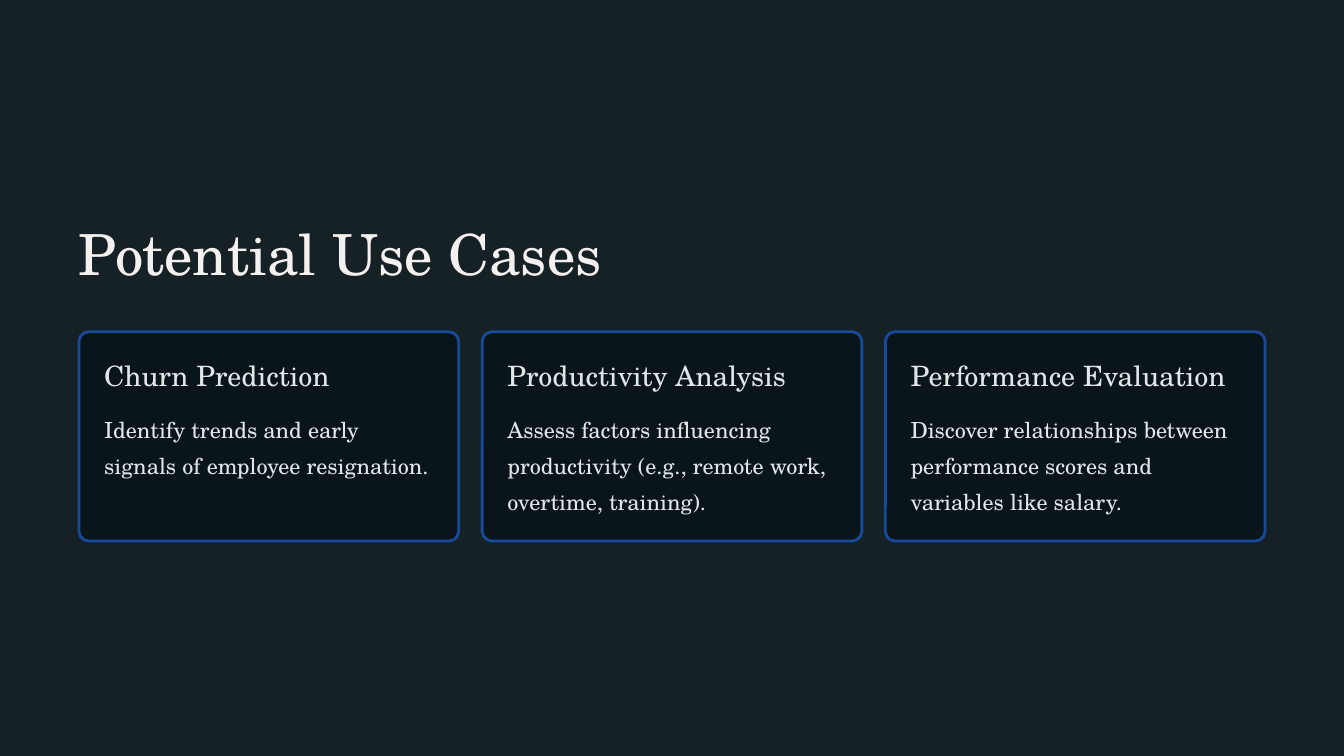
"""Build the Potential Use Cases slide with three outlined cards."""
from dataclasses import dataclass

from lxml import etree
from pptx import Presentation
from pptx import util as u
from pptx.dml.color import RGBColor
from pptx.enum import shapes, text
from pptx.oxml.ns import qn


@dataclass(frozen=True)
class Theme:
    """Colours, font and type styles of the slide."""
    background: str = "152125"
    card: str = "09151A"
    card_opacity: int = 95
    border: str = "194A99"
    border_width: float = 2.4
    corner: float = 0.046
    heading: str = "F5F0F0"
    body: str = "E2E6E9"
    font: str = "TeX Gyre Schola"

    def style(self, role):
        """Return size, line spacing and colour for a text role."""
        return {
            "title": (48.5, 60.5, self.heading),
            "card_title": (24, 30, self.body),
            "card_body": (19, 31, self.body),
        }[role]


def set_values(target, values):
    """Set every attribute named in values on the target."""
    for name, value in values.items():
        setattr(target, name, value)


class SlideBuilder:
    """Hold the theme and the current slide, and add elements to it."""

    def __init__(self, slide, theme):
        """Keep the slide and theme, and paint the background."""
        self.slide = slide
        self.theme = theme
        fill = slide.background.fill
        fill.solid()
        fill.fore_color.rgb = RGBColor.from_string(theme.background)

    def set_text(self, shape, content, role):
        """Fill a text shape with one paragraph in the style of its role."""
        size, spacing, colour = self.theme.style(role)
        frame = shape.text_frame
        frame.text = content
        set_values(frame, {
            "margin_left": 0, "margin_right": 0,
            "margin_top": 0, "margin_bottom": 0,
            "word_wrap": True,
            "auto_size": text.MSO_AUTO_SIZE.NONE,
            "vertical_anchor": text.MSO_ANCHOR.TOP,
        })
        paragraph = frame.paragraphs[0]
        set_values(paragraph, {
            "alignment": text.PP_ALIGN.LEFT,
            "line_spacing": u.Pt(spacing),
            "space_before": u.Pt(0),
        })
        font = paragraph.runs[0].font
        set_values(font, {
            "name": self.theme.font, "size": u.Pt(size), "bold": False})
        font.color.rgb = RGBColor.from_string(colour)

    def title(self, content, left, top, width, height):
        """Place and format the title placeholder."""
        shape = self.slide.shapes.title
        set_values(shape, {
            "left": u.Inches(left), "top": u.Inches(top),
            "width": u.Inches(width), "height": u.Inches(height),
        })
        self.set_text(shape, content, "title")

    def text_box(self, content, role, *box):
        """Add a text box at left, top, width and height."""
        shape = self.slide.shapes.add_textbox(*map(u.Inches, box))
        self.set_text(shape, content, role)

    def panel(self, *box):
        """Add a rounded, translucent panel with a coloured border."""
        theme = self.theme
        shape = self.slide.shapes.add_shape(
            shapes.MSO_SHAPE.ROUNDED_RECTANGLE, *map(u.Inches, box))
        shape.shadow.inherit = False
        shape.adjustments[0] = theme.corner
        shape.fill.solid()
        shape.fill.fore_color.rgb = RGBColor.from_string(theme.card)
        colour = shape.element.spPr.find(qn("a:solidFill"))[0]
        etree.SubElement(
            colour, qn("a:alpha"), val=str(theme.card_opacity * 1000))
        shape.line.color.rgb = RGBColor.from_string(theme.border)
        shape.line.width = u.Pt(theme.border_width)

    def card(self, heading, body, left, top, width, height):
        """Add a panel with a heading and body text inside it."""
        inset = 0.3
        inner_left, inner_width = left + inset, width - 2 * inset
        self.panel(left, top, width, height)
        self.text_box(heading, "card_title",
                      inner_left, top + inset, inner_width, 0.42)
        self.text_box(body, "card_body",
                      inner_left, top + 0.89, inner_width, 1.3)


def main():
    """Create the presentation and save it."""
    presentation = Presentation()
    set_values(presentation, {
        "slide_width": u.Inches(16), "slide_height": u.Inches(9)})
    slide = presentation.slides.add_slide(presentation.slide_layouts[5])
    builder = SlideBuilder(slide, Theme())

    margin, card_width, card_gap = 0.94, 4.52, 0.28
    builder.title("Potential Use Cases", margin, 2.57, 6.75, 0.84)
    use_cases = [
        ("Churn Prediction",
         "Identify trends and early signals of employee resignation."),
        ("Productivity Analysis",
         "Assess factors influencing productivity "
         "(e.g., remote work, overtime, training)."),
        ("Performance Evaluation",
         "Discover relationships between performance scores "
         "and variables like salary."),
    ]
    for index, (heading, body) in enumerate(use_cases):
        left = margin + index * (card_width + card_gap)
        builder.card(heading, body, left, 3.95, card_width, 2.49)
    presentation.save("out.pptx")


if __name__ == "__main__":
    main()
